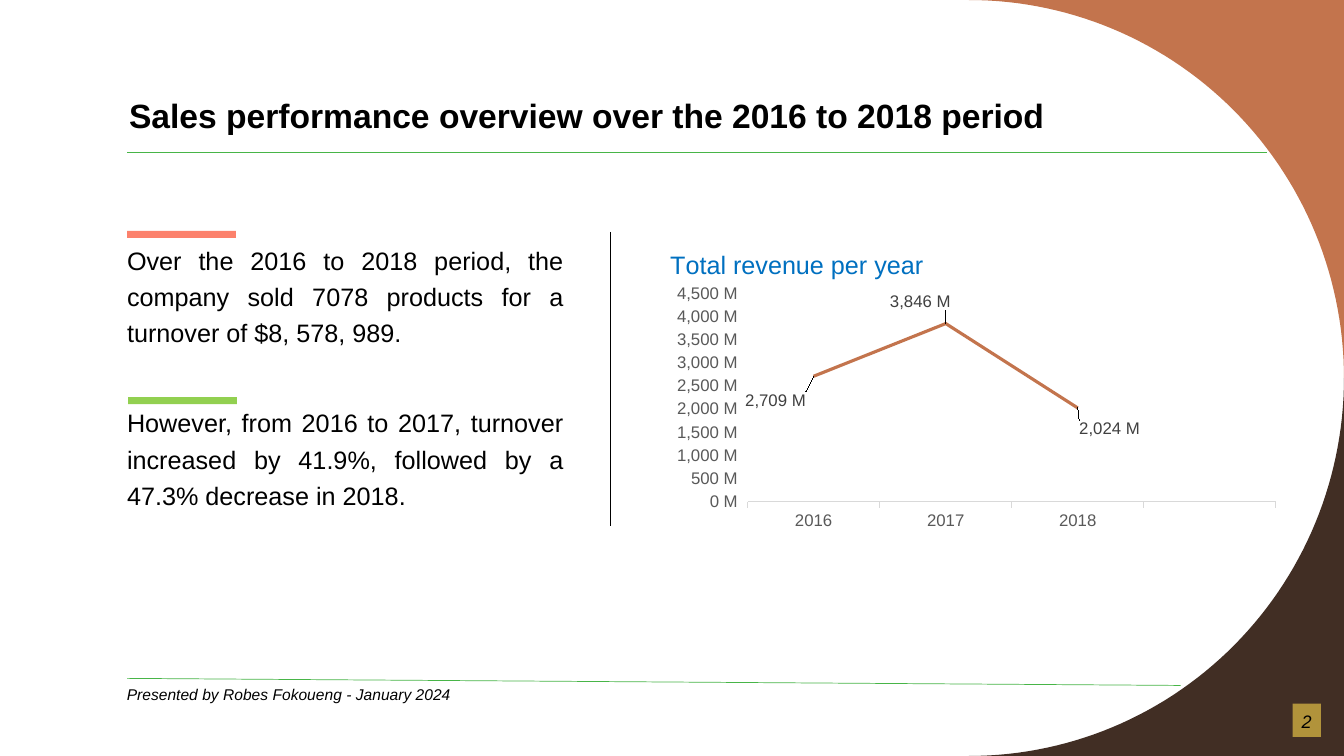
from math import cos, pi, sin
from typing import NamedTuple

from lxml import etree
from pptx import Presentation
from pptx.chart.data import CategoryChartData
from pptx.dml.color import RGBColor
from pptx.enum.chart import XL_CHART_TYPE, XL_LABEL_POSITION, XL_MARKER_STYLE, XL_TICK_MARK
from pptx.enum.shapes import MSO_CONNECTOR, MSO_SHAPE
from pptx.enum.text import MSO_ANCHOR, PP_ALIGN
from pptx.oxml.ns import qn
from pptx.util import Inches, Pt

LINE_CHART = XL_CHART_TYPE.LINE
ABOVE = XL_LABEL_POSITION.ABOVE
NO_MARK = XL_MARKER_STYLE.NONE
OUT = XL_TICK_MARK.OUTSIDE
STRAIGHT = MSO_CONNECTOR.STRAIGHT
RECT = MSO_SHAPE.RECTANGLE
TOP, MIDDLE = MSO_ANCHOR.TOP, MSO_ANCHOR.MIDDLE
LEFT, CENTER, JUSTIFY = PP_ALIGN.LEFT, PP_ALIGN.CENTER, PP_ALIGN.JUSTIFY

FONT = "Arial"
BLACK, GREEN, COPPER, BROWN = "000000", "47B547", "C3744D", "412E24"
MONEY = '#,##0,\\ "M"'
WIDE, HIGH = 13.33, 7.5
HUB_X, HUB_Y = 9.61, HIGH / 2


class Rule(NamedTuple):
    x1: float
    y1: float
    x2: float
    y2: float
    tint: str


class Bar(NamedTuple):
    x: float
    y: float
    wide: float
    high: float
    tint: str


class Year(NamedTuple):
    name: str
    sales: int | None
    dx: float = 0
    dy: float = 0


RULES = [
    Rule(6.05, 2.3, 6.05, 5.22, BLACK),
    Rule(1.26, 1.51, 12.57, 1.51, GREEN),
    Rule(1.26, 6.73, 11.71, 6.8, GREEN),
]
BARS = [Bar(1.26, 2.29, 1.08, 0.07, "FC816C"), Bar(1.27, 3.94, 1.08, 0.07, "92D050")]
BADGE = Bar(12.82, 6.98, 0.28, 0.33, "B1933B")
YEARS = [
    Year("2016", 2709000, -0.06, 0.12),
    Year("2017", 3846000, -0.04, -0.03),
    Year("2018", 2024000, 0.05, 0.11),
    Year("", None),
]
NOTES = [
    "Over the 2016 to 2018 period, the company sold 7078 products for a turnover of $8, 578, 989.",
    "However, from 2016 to 2017, turnover increased by 41.9%, followed by a 47.3% decrease in 2018.",
]


def color(code: str) -> RGBColor:
    return RGBColor.from_string(code)


def style(font, size: float, tint: str = BLACK, bold: bool = False, slant: bool = False) -> None:
    font.name, font.size, font.bold, font.italic = FONT, Pt(size), bold, slant
    font.color.rgb = color(tint)


def place(shape, x: float, y: float, wide: float, high: float) -> None:
    shape.left, shape.top = Inches(x), Inches(y)
    shape.width, shape.height = Inches(wide), Inches(high)


def paint(shape, tint: str) -> None:
    shape.shadow.inherit = False
    shape.fill.solid()
    shape.fill.fore_color.rgb = color(tint)
    shape.line.fill.background()


def add_bar(slide, bar: Bar):
    shape = slide.shapes.add_shape(RECT, *map(Inches, bar[:4]))
    paint(shape, bar.tint)
    return shape


def add_rule(slide, rule: Rule) -> None:
    line = slide.shapes.add_connector(STRAIGHT, *map(Inches, rule[:4]))
    line.line.color.rgb = color(rule.tint)
    line.line.width = Pt(0.5)
    etree.SubElement(line._element.spPr, qn("a:effectLst"))


def add_corner(slide, edge: float, tint: str) -> None:
    """Fill the right-hand corner at height edge outside the big round."""
    side = 1 if edge > HUB_Y else -1
    turns = [pi / 2 * step / 60 for step in range(61)]
    arc = [(HUB_X + (WIDE - HUB_X) * sin(t), HUB_Y + side * HUB_Y * cos(t)) for t in turns]
    pen = slide.shapes.build_freeform(Inches(WIDE), Inches(edge))
    pen.add_line_segments([(Inches(x), Inches(y)) for x, y in arc], close=True)
    paint(pen.convert_to_shape(), tint)


def add_layout(parent, spot: int, **parts) -> None:
    """Insert a manual chart layout at index spot of parent."""
    for old in parent.findall(qn("c:layout")):
        parent.remove(old)
    layout = etree.Element(qn("c:layout"))
    manual = etree.SubElement(layout, qn("c:manualLayout"))
    for name, value in parts.items():
        etree.SubElement(manual, qn(f"c:{name}")).set("val", str(value))
    parent.insert(spot, layout)


def add_chart(slide) -> None:
    data = CategoryChartData()
    data.categories = [year.name for year in YEARS]
    data.add_series("Series 1", [year.sales for year in YEARS])
    box = map(Inches, (6.35, 2.3, 6.31, 3.08))
    chart = slide.shapes.add_chart(LINE_CHART, *box, data).chart
    style(chart.font, 12)
    chart.has_legend = False
    chart.has_title = True
    frame = chart.chart_title.text_frame
    frame.text = "Total revenue per year"
    style(frame.paragraphs[0].runs[0].font, 18, "0070C0")
    title = chart.chart_title._element
    add_layout(title, 1, xMode="edge", yMode="edge", x=0.04, y=0.04)
    area = chart._chartSpace.chart.plotArea
    add_layout(area, 0, layoutTarget="inner", xMode="edge", yMode="edge",
               x=0.169, y=0.198, w=0.831, h=0.672)

    for axis in (chart.category_axis, chart.value_axis):
        axis.has_major_gridlines = False
        axis.major_tick_mark = OUT
        style(axis.tick_labels.font, 12, "595959")
    base, scale = chart.category_axis, chart.value_axis
    base.format.line.color.rgb = color("D9D9D9")
    base.format.line.width = Pt(0.75)
    scale.format.line.fill.background()
    scale.minimum_scale, scale.maximum_scale, scale.major_unit = 0, 4500000, 500000
    scale.tick_labels.number_format = MONEY
    scale.tick_labels.number_format_is_linked = False

    chart.plots[0].vary_by_categories = False
    sales = chart.plots[0].series[0]
    sales.smooth = False
    sales.marker.style = NO_MARK
    sales.format.line.color.rgb = color(COPPER)
    sales.format.line.width = Pt(2.25)
    for i, year in enumerate(YEARS):
        if year.sales is None:
            continue
        label = sales.points[i].data_label
        style(label.font, 12, "404040")
        label.position = ABOVE
        node = sales.data_labels._element.findall(qn("c:dLbl"))[i]
        add_layout(node, 1, x=year.dx, y=year.dy)
        form = etree.Element(qn("c:numFmt"), formatCode=MONEY, sourceLinked="0")
        node.insert(2, form)


def set_title(slide) -> None:
    title = slide.shapes.title
    place(title, 1.18, 0.84, 9.71, 0.6)
    frame = title.text_frame
    frame.text = "Sales performance overview over the 2016 to 2018 period"
    frame.vertical_anchor = MIDDLE
    frame.paragraphs[0].alignment = LEFT
    style(frame.paragraphs[0].runs[0].font, 24, bold=True)


def set_notes(slide) -> None:
    body = slide.placeholders[1]
    place(body, 1.16, 2.32, 4.53, 3.84)
    frame = body.text_frame
    frame.text = "\n".join(NOTES)
    frame.vertical_anchor = TOP
    for para in frame.paragraphs:
        para.alignment, para.line_spacing = JUSTIFY, 1.2
        para.space_before, para.space_after = Pt(0), Pt(38.5)
        props = para._p.get_or_add_pPr()
        props.set("marL", "0")
        props.set("indent", "0")
        etree.SubElement(props, qn("a:buNone"))
        style(para.runs[0].font, 18)


def set_small(shape, text: str, size: float, anchor) -> None:
    frame = shape.text_frame
    frame.word_wrap = True
    frame.vertical_anchor = anchor
    frame.text = text
    para = frame.paragraphs[0]
    para.alignment, para.line_spacing = CENTER, 1.1
    style(para.runs[0].font, size, slant=True)


def main() -> None:
    deck = Presentation()
    deck.slide_width, deck.slide_height = Inches(WIDE), Inches(HIGH)
    slide = deck.slides.add_slide(deck.slide_layouts[1])
    add_corner(slide, 0, COPPER)
    add_corner(slide, HIGH, BROWN)
    set_title(slide)
    set_notes(slide)
    add_chart(slide)
    for rule in RULES:
        add_rule(slide, rule)
    for bar in BARS:
        add_bar(slide, bar)
    badge = add_bar(slide, BADGE)
    badge.text_frame.margin_left = badge.text_frame.margin_right = 0
    set_small(badge, "2", 12.9, MIDDLE)
    foot = slide.shapes.add_textbox(*map(Inches, (1.15, 6.73, 3.43, 0.46)))
    set_small(foot, "Presented by Robes Fokoueng - January 2024", 11.1, TOP)
    deck.save("out.pptx")


if __name__ == "__main__":
    main()
